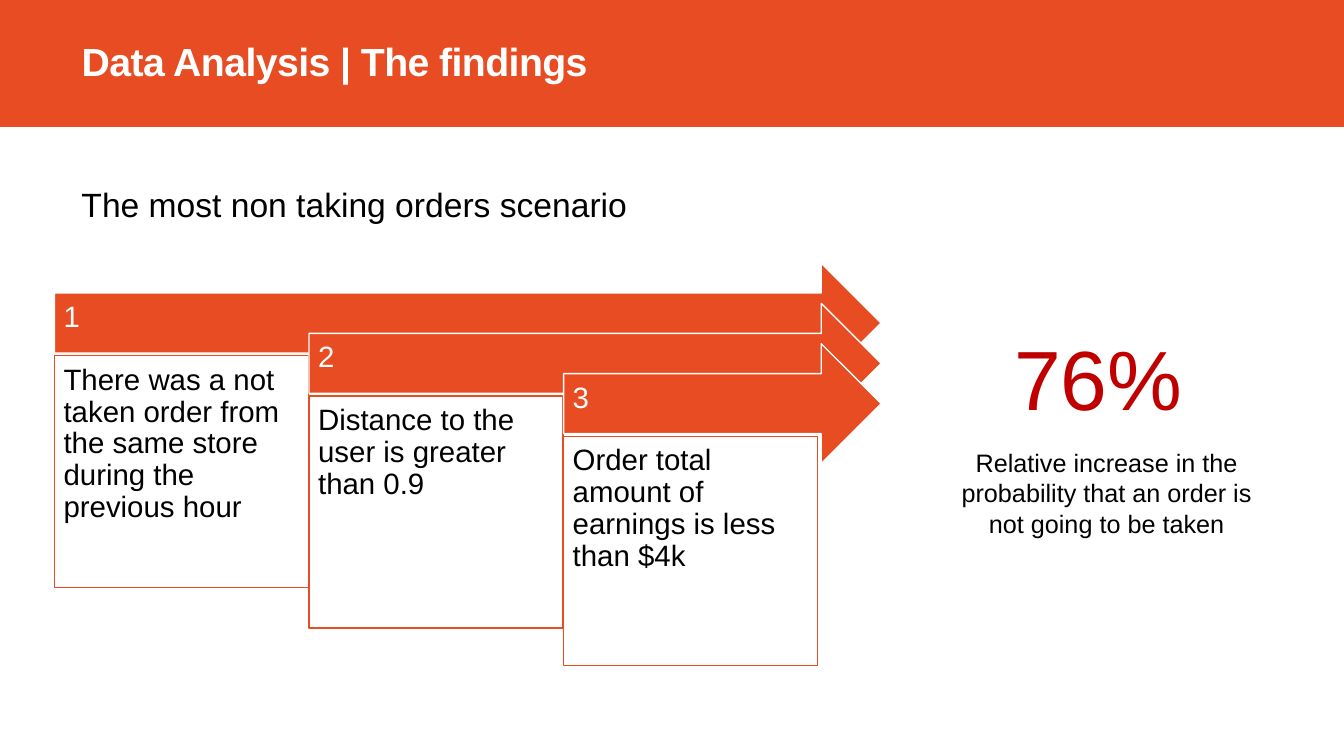
from pptx import Presentation
from pptx.dml.color import RGBColor
from pptx.enum.shapes import MSO_SHAPE
from pptx.enum.text import MSO_ANCHOR, MSO_AUTO_SIZE, PP_ALIGN
from pptx.util import Inches, Pt

RECTANGLE = MSO_SHAPE.RECTANGLE
RIGHT_ARROW = MSO_SHAPE.RIGHT_ARROW
TOP, MIDDLE = MSO_ANCHOR.TOP, MSO_ANCHOR.MIDDLE
LEFT, CENTER = PP_ALIGN.LEFT, PP_ALIGN.CENTER
NO_AUTOFIT = MSO_AUTO_SIZE.NONE

FONT = "Arial"
ORANGE, RED, WHITE, BLACK = "E84C22", "C00000", "FFFFFF", "000000"
TITLE_ONLY = 5

FINDINGS = [
    ("There was a not taken order from the same store during the previous hour", 2.3),
    ("Distance to the user is greater than 0.9", 2.3),
    ("Order total amount of earnings is less than $4k", 2.27),
]
FIRST_LEFT, FIRST_TOP = 0.54, 2.61
STEP_RIGHT, STEP_DOWN = 2.525, 0.4
ARROW_TIP, ARROW_HEIGHT = 8.74, 1.19
BOX_DROP, BOX_WIDTH = 0.92, 2.52


def color(hex_code):
    return RGBColor.from_string(hex_code)


def write(shape, text, size, hex_code=BLACK, bold=False, align=LEFT, anchor=TOP,
          insets=(0.1, 0.05, 0.1, 0.05), line_spacing=1.0, wrap=True, tracking=None):
    """Fill a shape with one formatted paragraph; insets run left, top, right, bottom."""
    frame = shape.text_frame
    frame.auto_size = NO_AUTOFIT
    frame.word_wrap = wrap
    frame.vertical_anchor = anchor
    (frame.margin_left, frame.margin_top,
     frame.margin_right, frame.margin_bottom) = map(Inches, insets)
    paragraph = frame.paragraphs[0]
    paragraph.alignment = align
    paragraph.line_spacing = line_spacing
    run = paragraph.add_run()
    run.text = text
    run.font.name = FONT
    run.font.size = Pt(size)
    run.font.bold = bold
    run.font.color.rgb = color(hex_code)
    if tracking is not None:
        run.font._element.set("spc", str(round(tracking * 100)))


def add_block(slide, preset, left, top, width, height, fill, line=None):
    block = slide.shapes.add_shape(
        preset, Inches(left), Inches(top), Inches(width), Inches(height))
    block.shadow.inherit = False
    block.fill.solid()
    block.fill.fore_color.rgb = color(fill)
    if line:
        block.line.color.rgb = color(line)
        block.line.width = Pt(1)
    else:
        block.line.fill.background()
    return block


def add_label(slide, text, left, top, width, height, size, **text_format):
    label = slide.shapes.add_textbox(
        Inches(left), Inches(top), Inches(width), Inches(height))
    write(label, text, size, **text_format)


def add_header(slide, text):
    band = add_block(slide, RECTANGLE, 0, 0, 13.33, 1.26, ORANGE)
    title = slide.shapes.title
    title._element.addprevious(band._element)  # band goes behind the title
    title.left, title.top = Inches(0.71), Inches(0.3)
    title.width, title.height = Inches(11.54), Inches(0.66)
    write(title, text, 28, hex_code=WHITE, bold=True, anchor=MIDDLE,
          line_spacing=0.9, tracking=-0.4)


def add_finding(slide, index, text, box_height):
    """One numbered arrow with its description box, stepped right and down."""
    left = FIRST_LEFT + index * STEP_RIGHT
    top = FIRST_TOP + index * STEP_DOWN
    arrow = add_block(slide, RIGHT_ARROW, left, top, ARROW_TIP - left, ARROW_HEIGHT,
                      ORANGE, line=WHITE)
    write(arrow, str(index + 1), 21, hex_code=WHITE, anchor=MIDDLE,
          insets=(0.09, 0.09, 0.28, 0.19), line_spacing=0.9)
    box = add_block(slide, RECTANGLE, left, top + BOX_DROP, BOX_WIDTH, box_height,
                    WHITE, line=ORANGE)
    write(box, text, 21, insets=(0.09, 0.09, 0.09, 0.09), line_spacing=0.9)


def main():
    deck = Presentation()
    deck.slide_width, deck.slide_height = Inches(13.33), Inches(7.5)
    slide = deck.slides.add_slide(deck.slide_layouts[TITLE_ONLY])

    add_header(slide, "Data Analysis | The findings")
    add_label(slide, "The most non taking orders scenario",
              0.71, 1.78, 5.75, 0.5, 24, wrap=False)
    add_label(slide, "76%", 9.96, 3.19, 2.03, 1.11, 60, hex_code=RED)
    add_label(slide,
              "Relative increase in the probability that an order is not going to be taken",
              9.37, 4.39, 3.21, 1.01, 18, align=CENTER)
    for index, (text, box_height) in enumerate(FINDINGS):
        add_finding(slide, index, text, box_height)

    deck.save("out.pptx")


if __name__ == "__main__":
    main()
